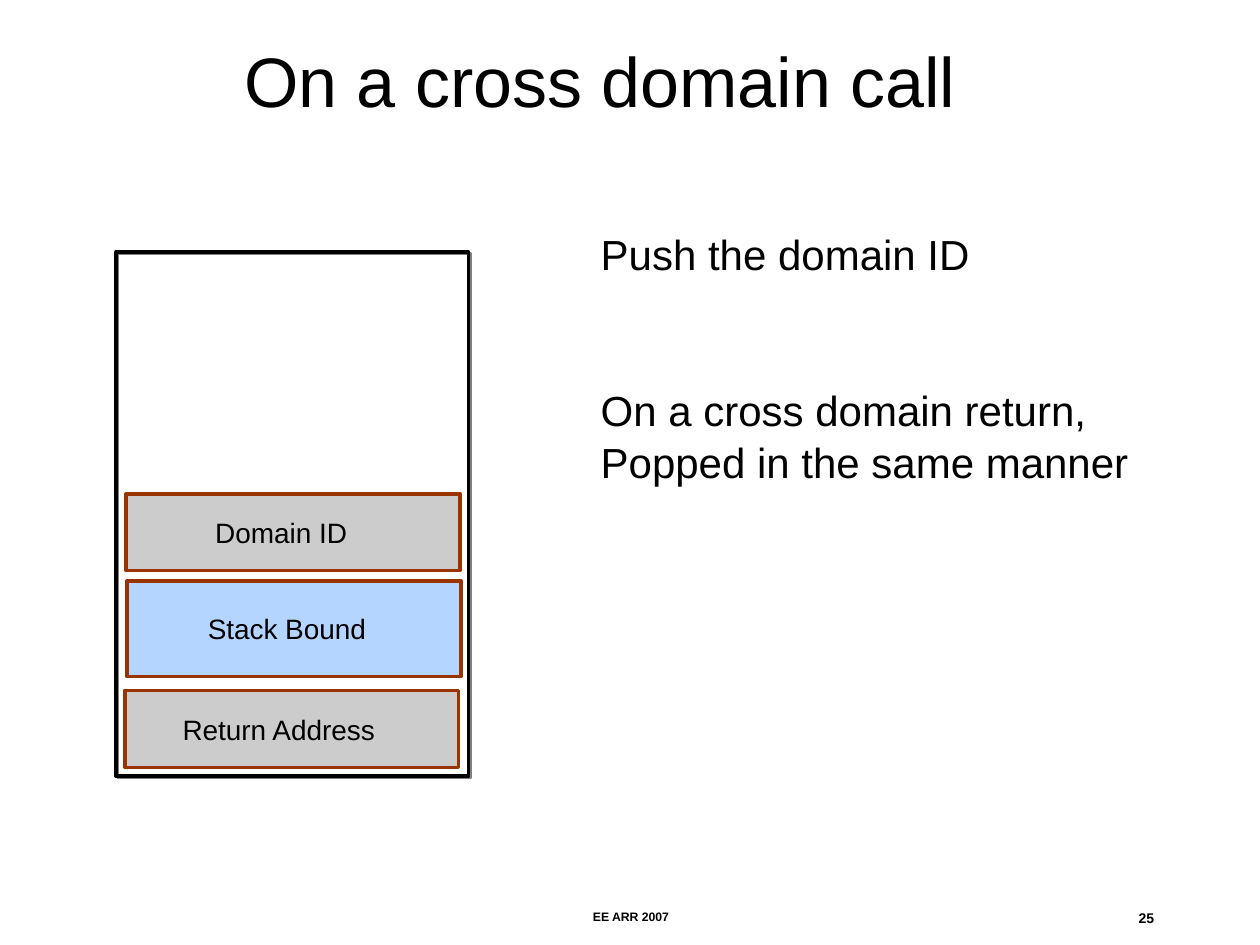
import pptx
import pptx.dml.color
import pptx.enum.shapes
import pptx.enum.text
import pptx.oxml
import pptx.oxml.ns
import pptx.util

Pt = pptx.util.Pt
ALIGN = pptx.enum.text.PP_ALIGN
ANCHOR = pptx.enum.text.MSO_ANCHOR

TITLE = ("On a cross domain call", (130.3, 16.6, 424.8, 56.2))
STACK_FRAME = (66.2, 144, 201.6, 299.5)
# label, fill, area, left inset of the label
STACK_ENTRIES = [
    ("Return Address", "CCCCCC", (71.3, 394.6, 190.8, 43.9), 33),
    ("Stack Bound", "B4D5FF", (72.7, 331.9, 190.8, 54.7), 46),
    ("Domain ID", "CCCCCC", (72, 282.2, 190.8, 43.9), 51),
]
STEPS = ["Push the domain ID", "On a cross domain return, Popped in the same manner"]
STEPS_AREA = (336.2, 126, 360, 152.6)
FOOTERS = [
    ("EE ARR 2007", (246.2, 516.2, 228.2, 12.2), 7, ALIGN.CENTER),
    ("25", (516.2, 516.2, 149.8, 12.2), 8, ALIGN.RIGHT),
]


def colour(value):
    return pptx.dml.color.RGBColor.from_string(value)


def points(area):
    return [Pt(length) for length in area]


def write(box, lines, size, bold=False, inset=(7.2, 3.6),
          anchor=ANCHOR.TOP, **paragraph_format):
    frame = box.text_frame
    frame_format = {
        "word_wrap": True, "auto_size": pptx.enum.text.MSO_AUTO_SIZE.NONE,
        "vertical_anchor": anchor,
        "margin_left": Pt(inset[0]), "margin_right": Pt(6.5),
        "margin_top": Pt(inset[1]), "margin_bottom": Pt(inset[1]),
    }
    for name, value in frame_format.items():
        setattr(frame, name, value)
    frame.text = "\n".join(lines)
    for para in frame.paragraphs:
        for name, value in paragraph_format.items():
            setattr(para, name, value)
        for span in para.runs:
            for name, value in {"name": "Arial", "size": Pt(size), "bold": bold}.items():
                setattr(span.font, name, value)
            span.font.color.rgb = colour("000000")


def add_box(page, area, line, fill=None):
    box = page.shapes.add_shape(pptx.enum.shapes.MSO_SHAPE.RECTANGLE, *points(area))
    box.shadow.inherit = False
    box.line.color.rgb = colour(line)
    box.line.width = Pt(2)
    if fill:
        box.fill.solid()
        box.fill.fore_color.rgb = colour(fill)
    else:
        box.fill.background()
    return box


def add_shadow(box, shade, distance):
    effects = box.element.spPr.find(pptx.oxml.ns.qn("a:effectLst"))
    effects.append(pptx.oxml.parse_xml(
        f'<a:outerShdw {pptx.oxml.ns.nsdecls("a")} dist="{Pt(distance)}" dir="2700000" '
        f'algn="ctr" rotWithShape="0"><a:srgbClr val="{shade}"/></a:outerShdw>'))


def main():
    deck = pptx.Presentation()
    deck.slide_width, deck.slide_height = Pt(720), Pt(540)
    page = deck.slides.add_slide(deck.slide_layouts.get_by_name("Title Only"))

    heading, area = TITLE
    title = page.shapes.title
    title.left, title.top, title.width, title.height = points(area)
    write(title, [heading], 40, inset=(6.5, 2.9), alignment=ALIGN.CENTER, line_spacing=1.04)

    add_shadow(add_box(page, STACK_FRAME, "000000"), "808080", 1.4)
    for label, fill, area, indent in STACK_ENTRIES:
        entry = add_box(page, area, "993300", fill)
        write(entry, [label], 16, inset=(indent, 3.6), anchor=ANCHOR.MIDDLE,
              alignment=ALIGN.LEFT)

    steps = page.shapes.add_textbox(*points(STEPS_AREA))
    write(steps, STEPS, 24, line_spacing=1.04)
    steps.text_frame.paragraphs[1].space_before = Pt(59)

    for text, area, size, alignment in FOOTERS:
        write(page.shapes.add_textbox(*points(area)), [text], size, bold=True,
              alignment=alignment)

    deck.save("out.pptx")


if __name__ == "__main__":
    main()
